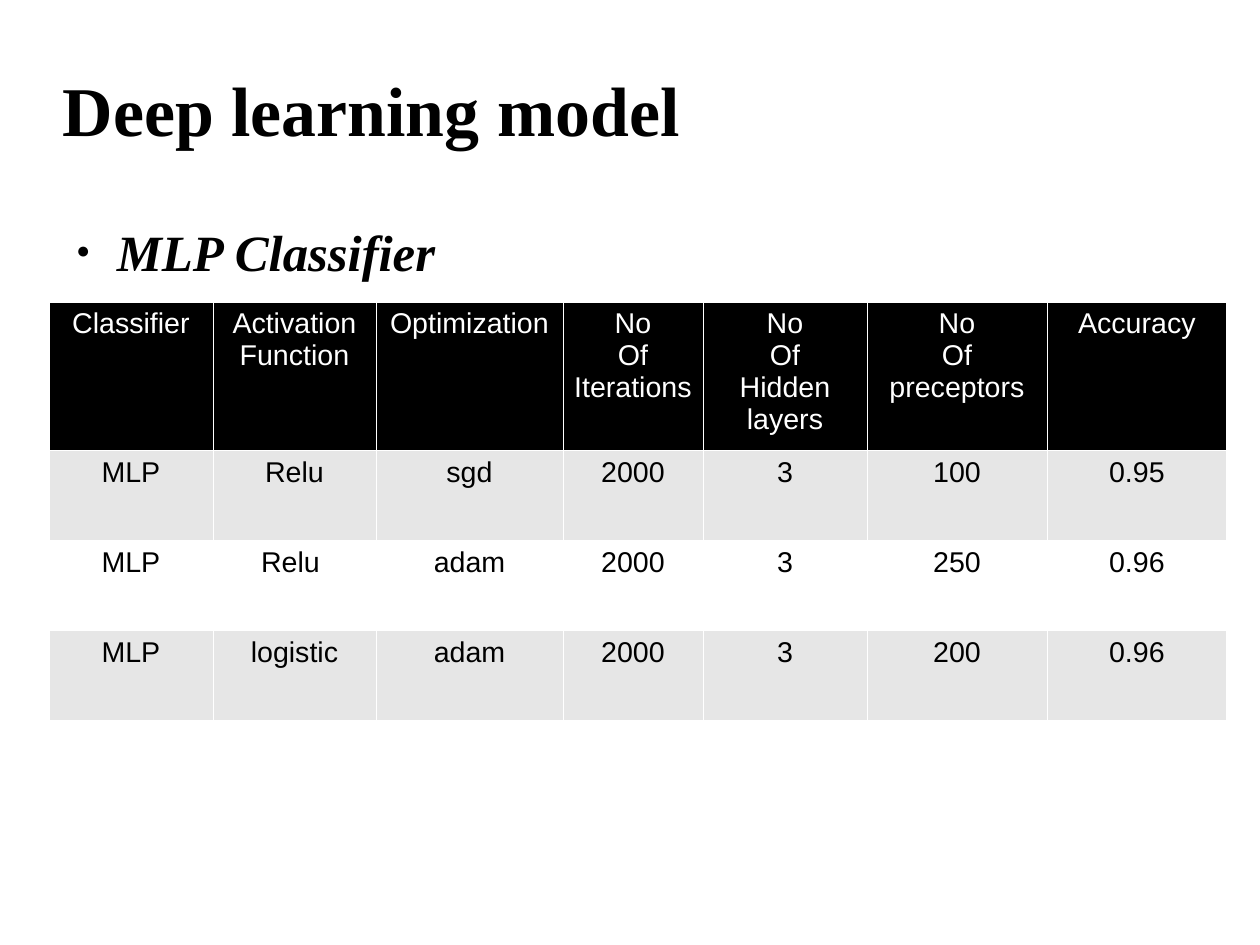
from lxml import etree
from pptx import Presentation
from pptx.dml.color import RGBColor
from pptx.enum.text import MSO_ANCHOR, PP_ALIGN
from pptx.oxml.ns import qn
from pptx.util import Pt

CENTER = PP_ALIGN.CENTER
LEFT = PP_ALIGN.LEFT
TOP = MSO_ANCHOR.TOP
MIDDLE = MSO_ANCHOR.MIDDLE

BLACK, WHITE, GRAY = "000000", "FFFFFF", "E6E6E6"
SERIF, SANS = "Times New Roman", "Arial"

TITLE = "Deep learning model"
SUBTITLE = "MLP Classifier"
TABLE = [
    ("Classifier", "Activation\vFunction", "Optimization", "No\vOf\vIterations",
     "No\vOf\vHidden layers", "No\vOf\npreceptors", "Accuracy"),
    ("MLP", "Relu", "sgd", "2000", "3", "100", "0.95"),
    ("MLP", "Relu ", "adam", "2000", "3", "250", "0.96"),
    ("MLP", "logistic", "adam", "2000", "3", "200", "0.96"),
]

PAGE_SIZE = (793.7, 595.28)
TITLE_AREA = (39.6, 23.6, 607, 89.3)
SUBTITLE_AREA = (39.6, 139, 340.6, 48.2)
TABLE_CORNER = (31, 190.1)
COLUMN_WIDTHS = (103, 103, 117.5, 88.5, 103, 113.7, 113)
ROW_HEIGHT = 56.7
ROW_FILLS = (BLACK, GRAY, WHITE, GRAY)
CELL_MARGINS = {"margin_left": 7.2, "margin_right": 7.2,
                "margin_top": 3.6, "margin_bottom": 3.6}
BORDER_WIDTH = 0.06

TITLE_FONT = {"name": SERIF, "size": Pt(44), "bold": True}
SUBTITLE_FONT = {"name": SERIF, "size": Pt(32), "bold": True, "italic": True}
CELL_FONT = {"name": SANS, "size": Pt(18), "bold": False}


def color(value):
    return RGBColor.from_string(value)


def write(frame, text, font, ink, align):
    frame.text = text
    for para in frame.paragraphs:
        para.alignment = align
        for span in para.runs:
            for name, value in font.items():
                setattr(span.font, name, value)
            span.font.color.rgb = color(ink)


def add_text(page, area, text, font, anchor):
    frame = page.shapes.add_textbox(*map(Pt, area)).text_frame
    frame.word_wrap = True
    frame.vertical_anchor = anchor
    for side in CELL_MARGINS:
        setattr(frame, side, 0)
    write(frame, text, font, BLACK, LEFT)
    return frame.paragraphs[0]


def add_bullet(para):
    properties = para._p.get_or_add_pPr()
    properties.set("marL", str(Pt(34)))
    properties.set("indent", str(-Pt(25.5)))
    tint = etree.SubElement(properties, qn("a:buClr"))
    etree.SubElement(tint, qn("a:srgbClr"), val=BLACK)
    etree.SubElement(properties, qn("a:buSzPct"), val="45000")
    etree.SubElement(properties, qn("a:buFont"), typeface=SERIF)
    etree.SubElement(properties, qn("a:buChar"), char="●")
    para.space_after = Pt(14.2)


def add_borders(cell):
    properties = cell._tc.get_or_add_tcPr()
    for edge in ("lnL", "lnR", "lnT", "lnB"):
        line = etree.SubElement(properties, qn("a:" + edge), w=str(Pt(BORDER_WIDTH)))
        fill = etree.SubElement(line, qn("a:solidFill"))
        etree.SubElement(fill, qn("a:srgbClr"), val=WHITE)


def add_results(page):
    size = (sum(COLUMN_WIDTHS), ROW_HEIGHT * len(TABLE))
    table = page.shapes.add_table(len(TABLE), len(COLUMN_WIDTHS),
                                  *map(Pt, TABLE_CORNER + size)).table
    table.first_row = table.horz_banding = False
    for column, width in zip(table.columns, COLUMN_WIDTHS):
        column.width = Pt(width)
    for row, fill, texts in zip(table.rows, ROW_FILLS, TABLE):
        row.height = Pt(ROW_HEIGHT)
        ink = WHITE if fill == BLACK else BLACK
        for cell, text in zip(row.cells, texts):
            add_borders(cell)
            cell.fill.solid()
            cell.fill.fore_color.rgb = color(fill)
            for side, margin in CELL_MARGINS.items():
                setattr(cell, side, Pt(margin))
            write(cell.text_frame, text, CELL_FONT, ink, CENTER)


def main():
    deck = Presentation()
    deck.slide_width, deck.slide_height = map(Pt, PAGE_SIZE)
    page = deck.slides.add_slide(deck.slide_layouts[6])
    add_text(page, TITLE_AREA, TITLE, TITLE_FONT, MIDDLE)
    add_bullet(add_text(page, SUBTITLE_AREA, SUBTITLE, SUBTITLE_FONT, TOP))
    add_results(page)
    deck.save("out.pptx")


if __name__ == "__main__":
    main()
